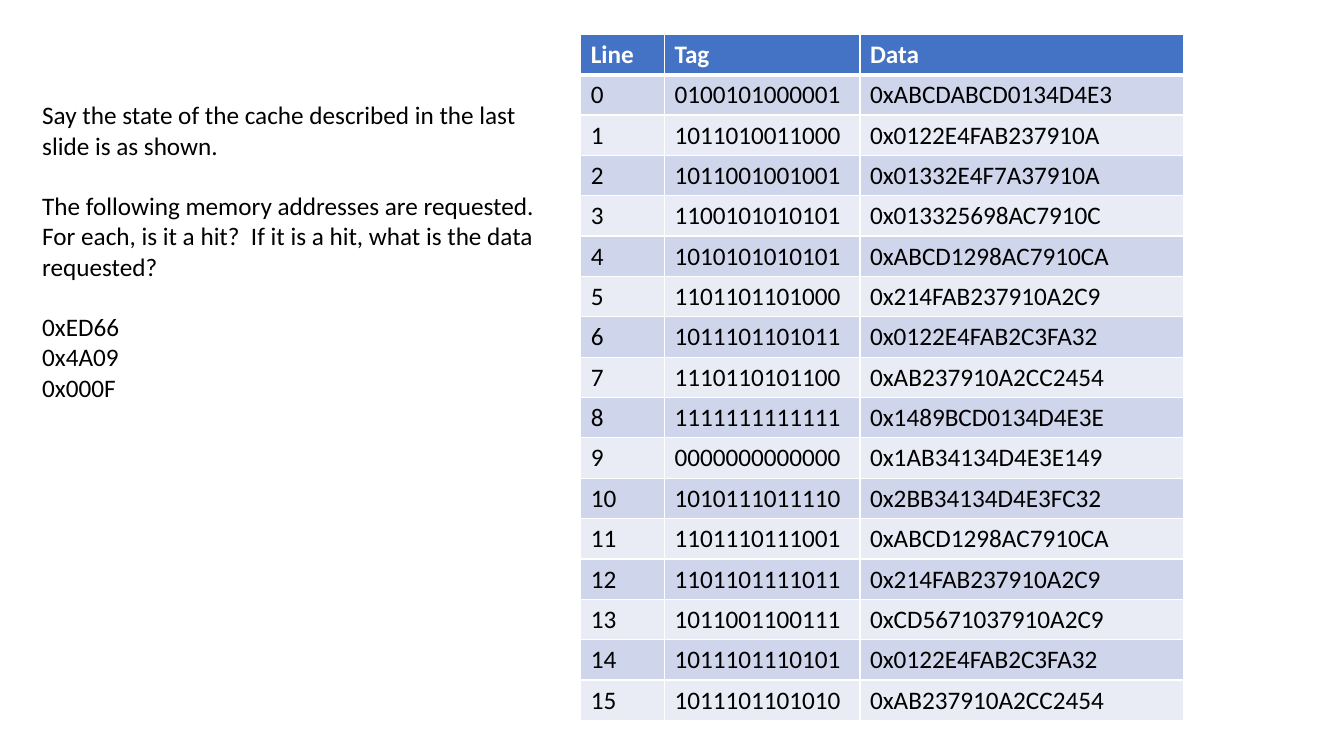
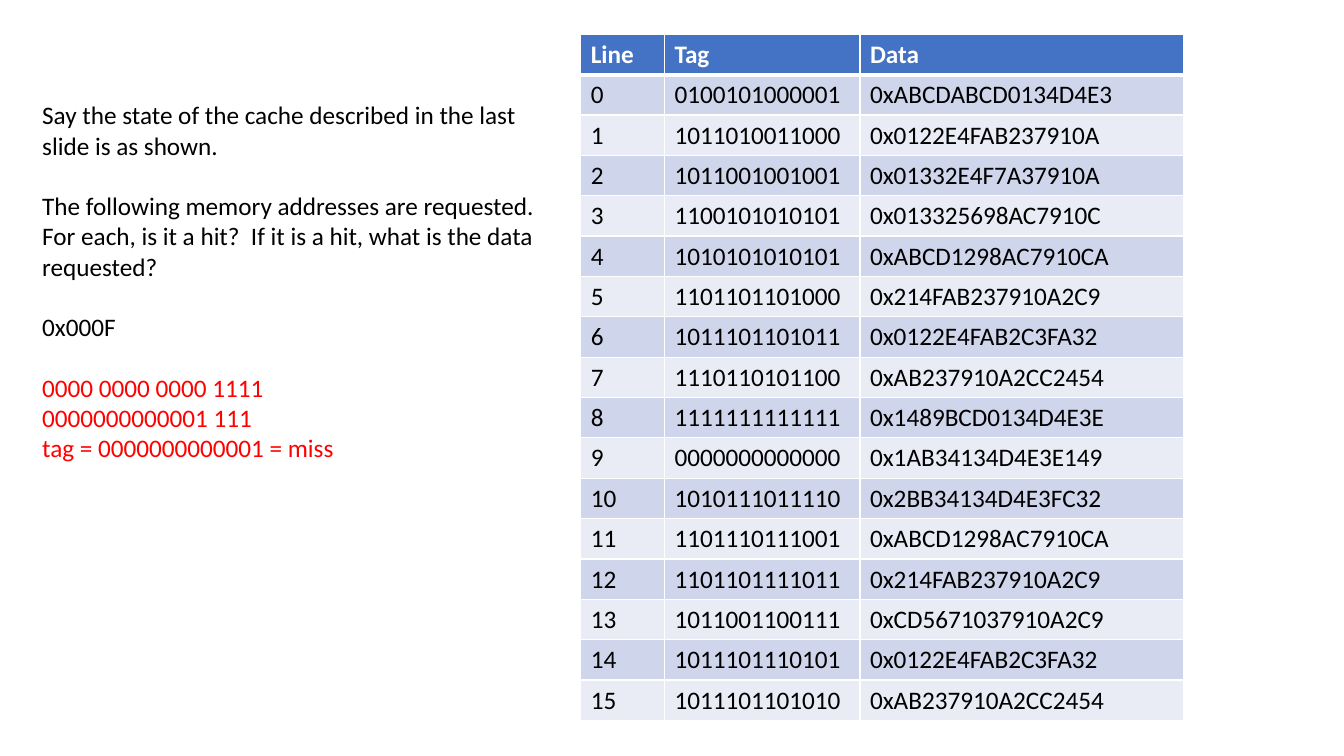
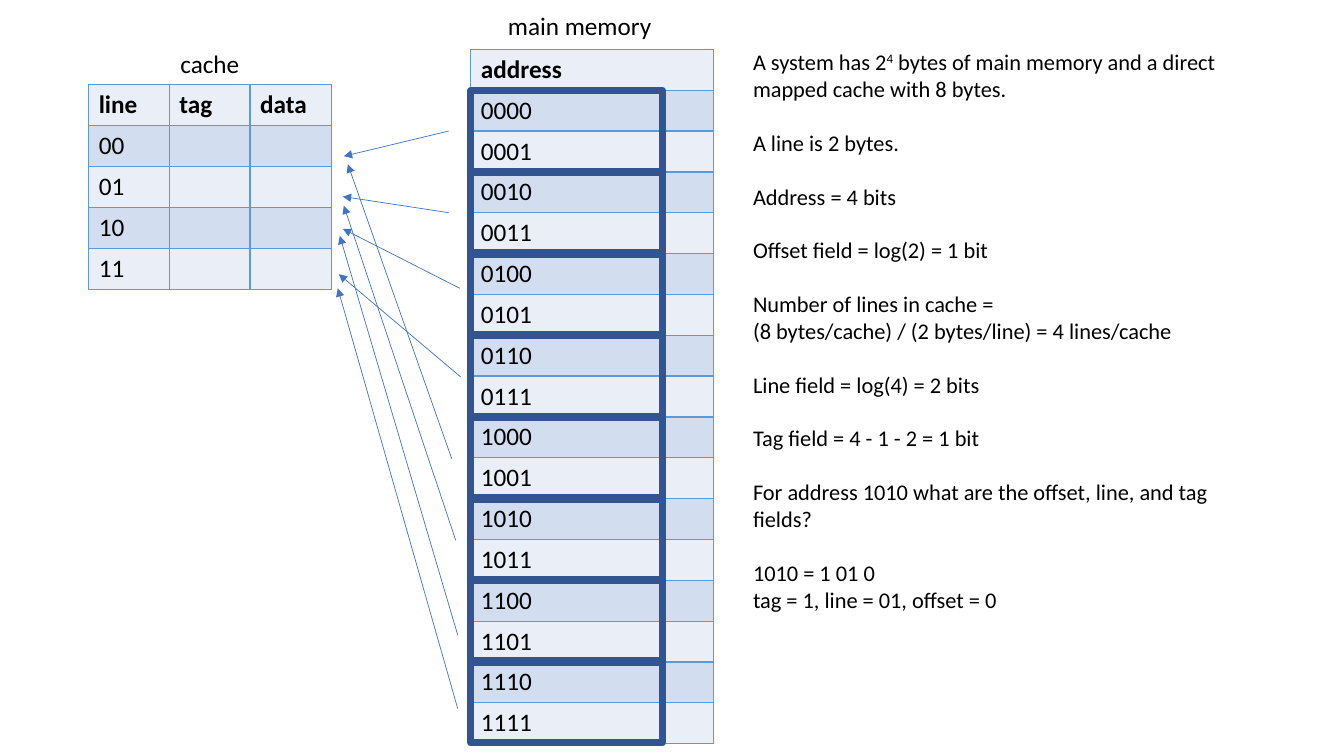
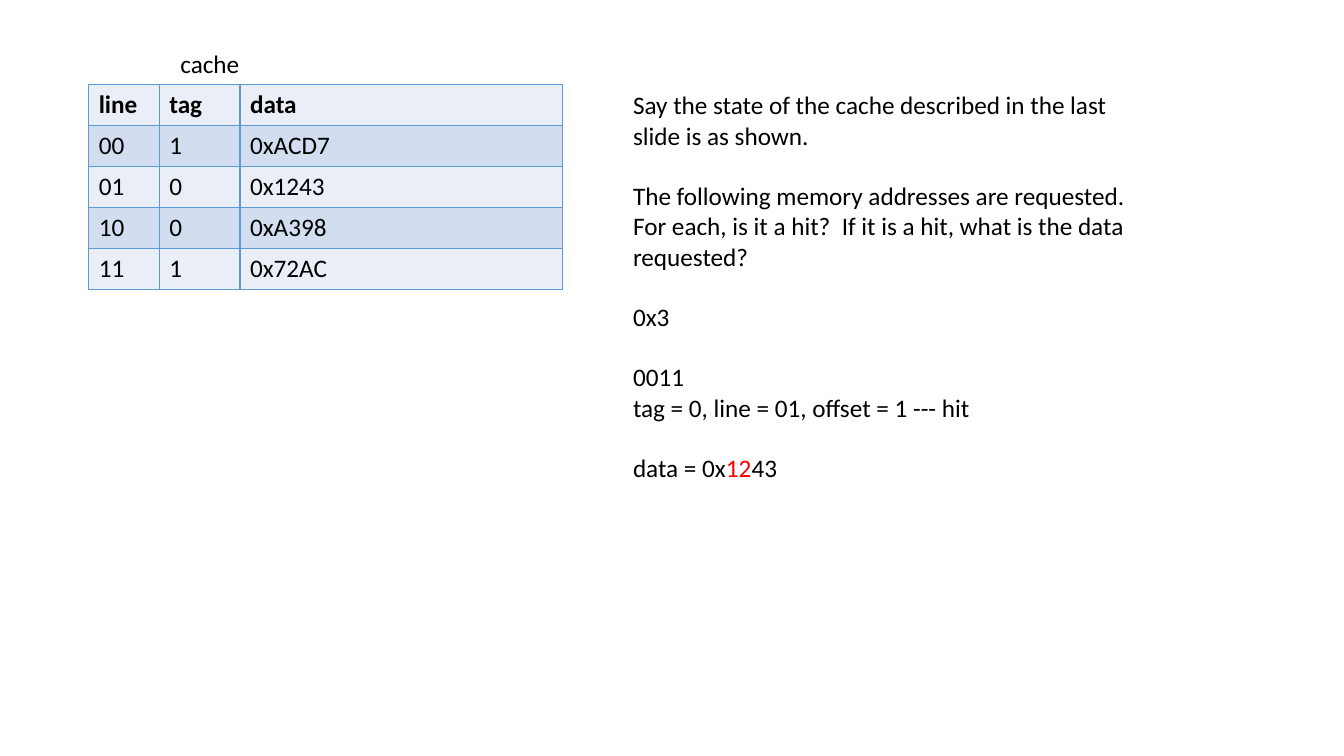
from lxml import etree
from pptx import Presentation
from pptx import util as u
from pptx.dml.color import RGBColor
from pptx.enum import shapes, text
from pptx.oxml.ns import qn

EMU_PER_PX = 9144  # 100 px to the inch
FONT = "Calibri"
BODY_SIZE = 18
LINE_SPACING = 1.2

BLACK = RGBColor(0x00, 0x00, 0x00)
WHITE = RGBColor(0xFF, 0xFF, 0xFF)
RED = RGBColor(0xFF, 0x00, 0x00)
BLUE = RGBColor(0x44, 0x72, 0xC4)
NAVY = RGBColor(0x32, 0x54, 0x91)
SKY = RGBColor(0x5B, 0x9B, 0xD5)

SOLID_STYLE = {
    "header_fill": BLUE, "header_color": WHITE, "header_rule": 3, "border": WHITE,
    "bands": (RGBColor(0xCF, 0xD5, 0xEA), RGBColor(0xE9, 0xEB, 0xF5)),
}
GRID_STYLE = {
    "header_fill": RGBColor(0xEA, 0xEF, 0xF7), "header_color": BLACK, "header_rule": 1, "border": SKY,
    "bands": (RGBColor(0xD2, 0xDE, 0xEF), RGBColor(0xEA, 0xEF, 0xF7)),
}

QUESTION = [
    ["Say the state of the cache described in the last slide is as shown."],
    ["The following memory addresses are requested.  For each, is it a hit?  "
     "If it is a hit, what is the data requested?"],
]
CACHE_LINES = [
    ("0100101000001", "0xABCDABCD0134D4E3"),
    ("1011010011000", "0x0122E4FAB237910A"),
    ("1011001001001", "0x01332E4F7A37910A"),
    ("1100101010101", "0x013325698AC7910C"),
    ("1010101010101", "0xABCD1298AC7910CA"),
    ("1101101101000", "0x214FAB237910A2C9"),
    ("1011101101011", "0x0122E4FAB2C3FA32"),
    ("1110110101100", "0xAB237910A2CC2454"),
    ("1111111111111", "0x1489BCD0134D4E3E"),
    ("0000000000000", "0x1AB34134D4E3E149"),
    ("1010111011110", "0x2BB34134D4E3FC32"),
    ("1101110111001", "0xABCD1298AC7910CA"),
    ("1101101111011", "0x214FAB237910A2C9"),
    ("1011001100111", "0xCD5671037910A2C9"),
    ("1011101110101", "0x0122E4FAB2C3FA32"),
    ("1011101101010", "0xAB237910A2CC2454"),
]
FIELD_NOTES = [
    [[("A system has 2", {}), ("4", {"baseline": 30}),
      (" bytes of main memory and a direct mapped cache with 8 bytes.", {})]],
    ["A line is 2 bytes."],
    ["Address = 4 bits"],
    ["Offset field = log(2) = 1 bit"],
    ["Number of lines in cache =", "(8 bytes/cache) / (2 bytes/line) = 4 lines/cache"],
    ["Line field = log(4) = 2 bits"],
    ["Tag field = 4 - 1 - 2 = 1 bit"],
    ["For address 1010 what are the offset, line, and tag fields?"],
    ["1010 = 1 01 0", "tag = 1, line = 01, offset = 0"],
]
# Start and end of the arrow from each memory block to its cache line
BLOCK_ARROWS = [
    ((445, 130), (341, 155)), ((445, 211), (340, 195)),
    ((456, 286), (340, 227)), ((457, 374), (336, 272)),
    ((448, 455), (345, 163)), ((452, 536), (341, 204)),
    ((454, 630), (337, 234)), ((454, 703), (335, 286)),
]


def px(*lengths):
    return [u.Emu(length * EMU_PER_PX) for length in lengths]


def add_run(paragraph, content, size=BODY_SIZE, color=BLACK, bold=False, baseline=0):
    run = paragraph.add_run()
    run.text = content
    for name, value in {"name": FONT, "size": u.Pt(size), "bold": bold}.items():
        setattr(run.font, name, value)
    run.font.color.rgb = color
    if baseline:
        run._r.get_or_add_rPr().set("baseline", str(baseline * 1000))


def add_text(slide, box, groups, size=BODY_SIZE, wrap=True):
    """Write groups of lines, one line's height apart; a line is a string or a list of (text, format)."""
    frame = slide.shapes.add_textbox(*px(*box)).text_frame
    frame.word_wrap = wrap
    frame.auto_size = text.MSO_AUTO_SIZE.SHAPE_TO_FIT_TEXT
    paragraph = None
    for group in groups:
        for index, line in enumerate(group):
            starts_later_group = paragraph is not None and index == 0
            paragraph = frame.add_paragraph() if paragraph is not None else frame.paragraphs[0]
            if starts_later_group:
                paragraph.space_before = u.Pt(size * LINE_SPACING)
            runs = [(line, {})] if isinstance(line, str) else line
            for content, style in runs:
                add_run(paragraph, content, size, **style)


def set_borders(cell, color, bottom_width):
    properties = cell._tc.get_or_add_tcPr()
    for side, width in {"lnL": 1, "lnR": 1, "lnT": 1, "lnB": bottom_width}.items():
        line = etree.SubElement(properties, qn(f"a:{side}"), w=str(u.Pt(width)))
        fill = etree.SubElement(line, qn("a:solidFill"))
        etree.SubElement(fill, qn("a:srgbClr"), val=str(color))


def add_grid(slide, box, columns, rows, style):
    """Fill the box with equal rows, the first one a header, over columns of the given widths."""
    left, top, width, height = px(*box)
    table = slide.shapes.add_table(len(rows), len(columns), left, top, width, height).table
    table.horz_banding = False
    for column, column_width in zip(table.columns, px(*columns)):
        column.width = column_width
    for index, (row, values) in enumerate(zip(table.rows, rows)):
        row.height = height // len(rows)
        is_header = index == 0
        fill = style["header_fill"] if is_header else style["bands"][(index - 1) % 2]
        for cell, value in zip(row.cells, values):
            set_borders(cell, style["border"], style["header_rule"] if is_header else 1)
            cell.fill.solid()
            cell.fill.fore_color.rgb = fill
            if value:
                add_run(cell.text_frame.paragraphs[0], value, bold=is_header,
                        color=style["header_color"] if is_header else BLACK)


def add_arrow(slide, start, end):
    arrow = slide.shapes.add_connector(shapes.MSO_CONNECTOR.STRAIGHT, *px(*start, *end))
    arrow.line.color.rgb = BLUE
    arrow.line.width = u.Pt(0.5)
    properties = arrow._element.spPr
    etree.SubElement(properties.find(qn("a:ln")), qn("a:tailEnd"), type="triangle")
    etree.SubElement(properties, qn("a:effectLst"))


def add_cache(slide, box, columns, rows):
    left, top = box[:2]
    add_text(slide, (left + 81, top - 41, 79, 40), [["cache"]], wrap=False)
    add_grid(slide, box, columns, [("line", "tag", "data"), *rows], GRID_STYLE)


def add_memory(slide, box):
    """Table of 16 addresses with a frame around each block of two."""
    left, top, width, height = box
    add_text(slide, (left + 27, top - 44, 164, 40), [["main memory"]], wrap=False)
    addresses = [(format(number, "04b"),) for number in range(16)]
    add_grid(slide, box, [width], [("address",), *addresses], GRID_STYLE)
    row_height = height / (len(addresses) + 1)
    for block in range(len(addresses) // 2):
        block_top = round(top + row_height * (1 + 2 * block))
        frame = slide.shapes.add_shape(shapes.MSO_SHAPE.RECTANGLE, *px(left, block_top, 190, 80))
        frame.shadow.inherit = False
        frame.fill.background()
        frame.line.color.rgb = NAVY
        frame.line.width = u.Pt(5.25)


def build_lookup_slide(slide, answers):
    add_text(slide, (32, 94, 521, 343), QUESTION + answers)
    rows = [(str(number), *line) for number, line in enumerate(CACHE_LINES)]
    add_grid(slide, (576, 34, 598, 680), (83, 194, 321), [("Line", "Tag", "Data"), *rows], SOLID_STYLE)


def build_mapping_slide(slide):
    add_cache(slide, (88, 84, 241, 203), (80, 80, 81),
              [(line, "", "") for line in ("00", "01", "10", "11")])
    add_memory(slide, (467, 49, 241, 689))
    add_text(slide, (737, 43, 488, 629), FIELD_NOTES, size=16)
    for start, end in BLOCK_ARROWS:
        add_arrow(slide, start, end)


def build_small_cache_slide(slide):
    add_cache(slide, (88, 84, 470, 203), (70, 80, 320), [
        ("00", "1", "0xACD7"), ("01", "0", "0x1243"), ("10", "0", "0xA398"), ("11", "1", "0x72AC")])
    add_text(slide, (618, 84, 521, 404), QUESTION + [
        ["0x3"],
        ["0011", "tag = 0, line = 01, offset = 1 --- hit"],
        [[("data = 0x", {}), ("12", {"color": RED}), ("43", {})]],
    ])


def main():
    presentation = Presentation()
    presentation.slide_width, presentation.slide_height = px(1333, 750)
    blank = presentation.slide_layouts[6]
    solution = ["0000 0000 0000 1111", "0000000000001 111", "tag = 0000000000001 = miss"]
    red_solution = [[(line, {"color": RED})] for line in solution]

    build_lookup_slide(presentation.slides.add_slide(blank), [["0xED66", "0x4A09", "0x000F"]])
    build_lookup_slide(presentation.slides.add_slide(blank), [["0x000F"], red_solution])
    build_mapping_slide(presentation.slides.add_slide(blank))
    build_small_cache_slide(presentation.slides.add_slide(blank))
    presentation.save("out.pptx")


if __name__ == "__main__":
    main()
